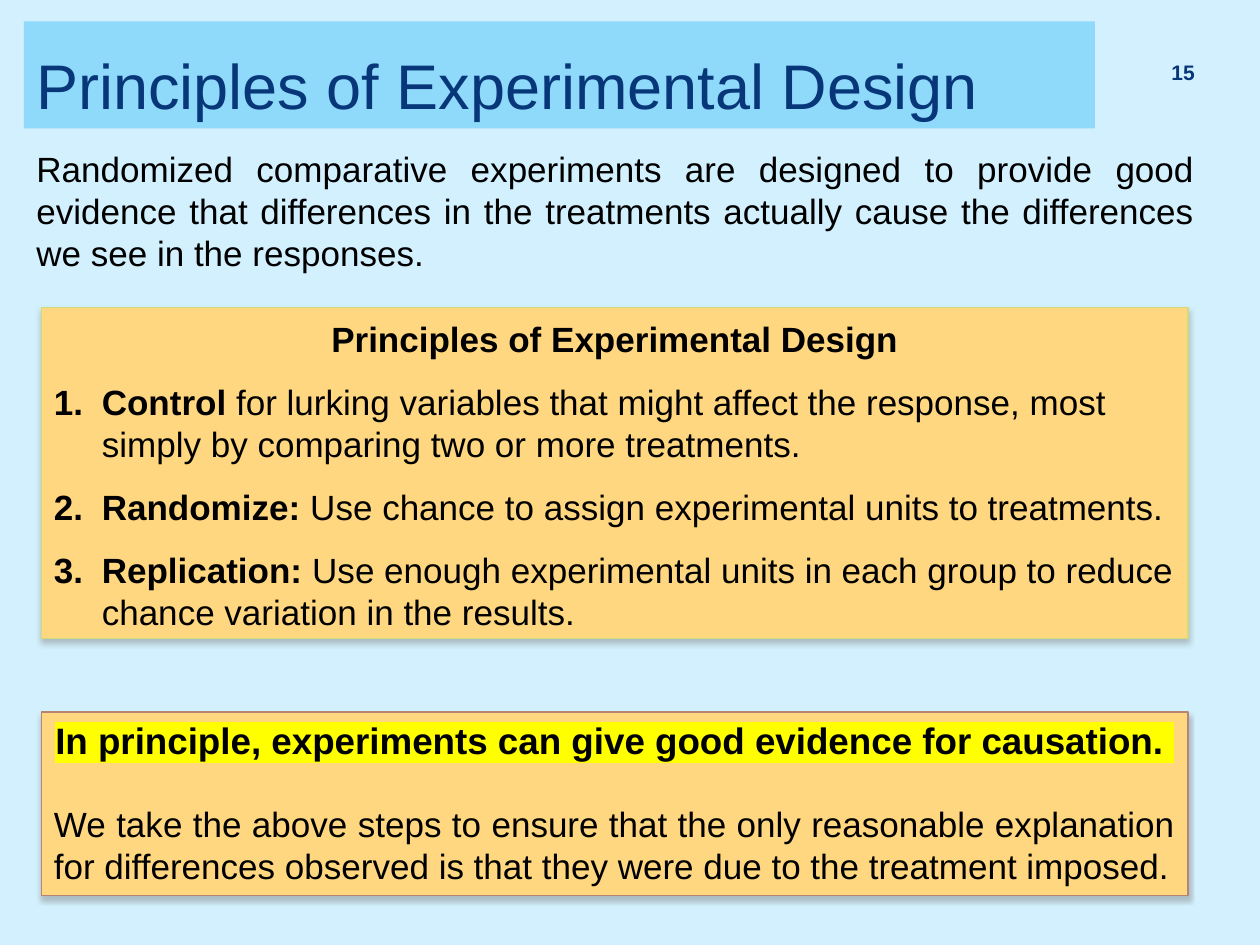
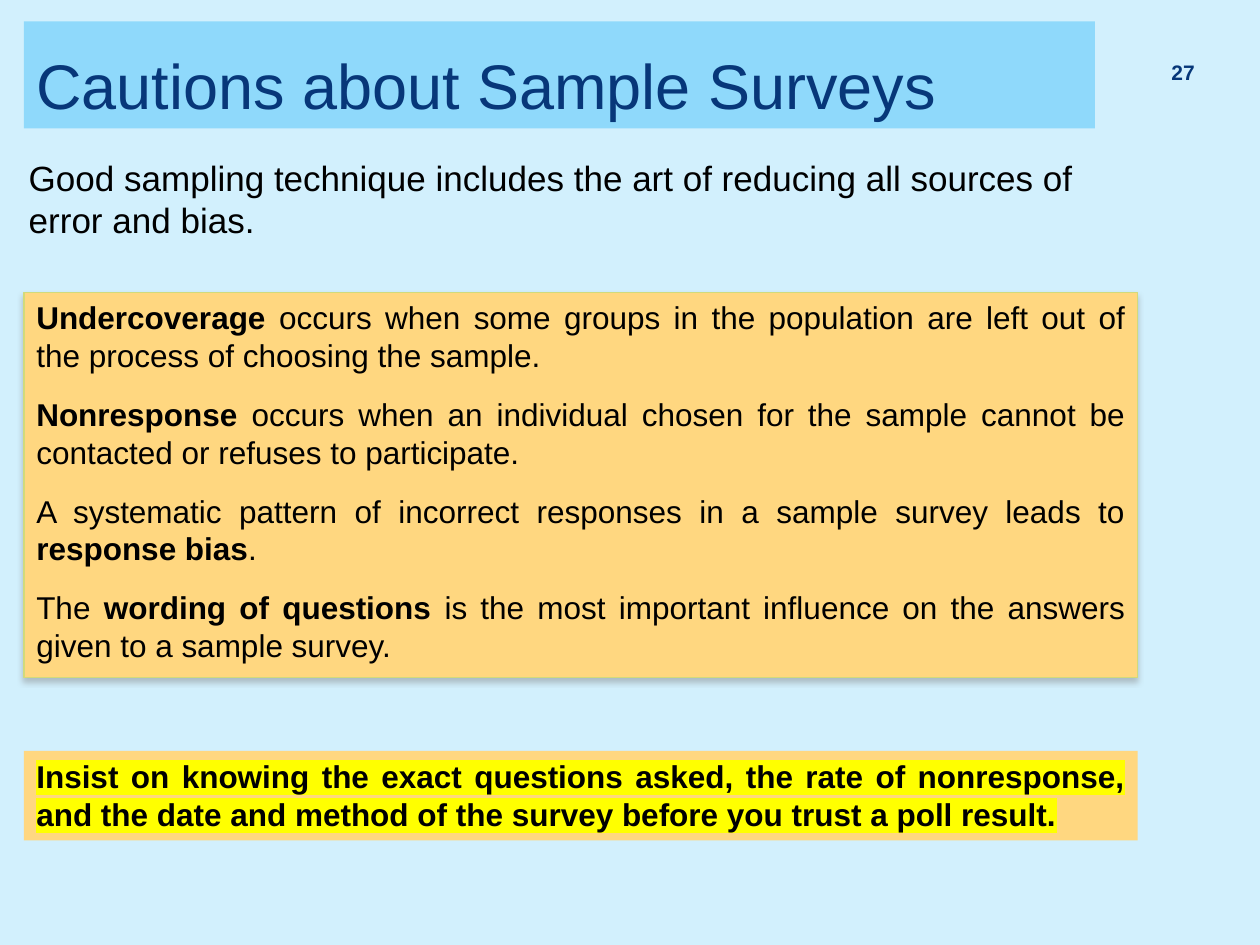
from lxml import etree
from pptx import Presentation
from pptx.dml.color import RGBColor
from pptx.enum.shapes import MSO_SHAPE
from pptx.enum.text import MSO_ANCHOR, PP_ALIGN
from pptx.oxml.ns import qn
from pptx.util import Pt

PX = 9144  # 100 px to the inch
RECTANGLE = MSO_SHAPE.RECTANGLE
TOP, MIDDLE, BOTTOM = MSO_ANCHOR.TOP, MSO_ANCHOR.MIDDLE, MSO_ANCHOR.BOTTOM
LEFT, CENTER, RIGHT, JUSTIFY = PP_ALIGN.LEFT, PP_ALIGN.CENTER, PP_ALIGN.RIGHT, PP_ALIGN.JUSTIFY
FONT = "Arial"
COLORS = {
    "background": "D2F0FD",
    "band": "8FD9FB",
    "navy": "073779",
    "black": "000000",
    "panel": "FFD780",
    "olive": "D2DA7A",
    "brown": "B88472",
    "shadow": "808080",
    "highlight": "FFFF00",
}


def add_box(slide, bounds, fill=None, outline=None, anchor=TOP):
    """Add a text box, or a rectangle if filled; an outlined one also casts a shadow."""
    bounds = [length * PX for length in bounds]
    if fill is None:
        shape = slide.shapes.add_textbox(*bounds)
    else:
        shape = slide.shapes.add_shape(RECTANGLE, *bounds)
        shape.shadow.inherit = False
        shape.fill.solid()
        shape.fill.fore_color.rgb = RGBColor.from_string(COLORS[fill])
        if outline is None:
            shape.line.fill.background()
        else:
            shape.line.color.rgb = RGBColor.from_string(COLORS[outline])
            shape.line.width = Pt(0.8)
            effects = shape._element.spPr.find(qn("a:effectLst"))
            shadow = etree.SubElement(effects, qn("a:outerShdw"), blurRad="38100",
                                      dist="30480", dir="5400000", rotWithShape="0")
            color = etree.SubElement(shadow, qn("a:srgbClr"), val=COLORS["shadow"])
            etree.SubElement(color, qn("a:alpha"), val="45000")
    shape.text_frame.word_wrap = True
    shape.text_frame.vertical_anchor = anchor
    return shape.text_frame


def write(frame, text, size=20, align=LEFT, color="black", after=0,
          numbered=False, highlighted=False):
    """Write one paragraph, filling the empty first one; text between asterisks is bold."""
    paragraph = frame.paragraphs[0]
    if paragraph.runs:
        paragraph = frame.add_paragraph()
    if numbered:
        properties = paragraph._p.get_or_add_pPr()
        properties.set("marL", str(38 * PX))
        properties.set("indent", str(-38 * PX))
        etree.SubElement(properties, qn("a:buFont"), typeface=FONT)
        etree.SubElement(properties, qn("a:buAutoNum"), type="arabicPeriod")
    paragraph.alignment = align
    paragraph.space_after = Pt(after)
    paragraph.font.name = FONT
    paragraph.font.size = Pt(size)
    paragraph.font.color.rgb = RGBColor.from_string(COLORS[color])
    for index, part in enumerate(text.split("*")):
        if part:
            run = paragraph.add_run()
            run.text = part
            run.font.bold = index % 2 == 1
            if highlighted:
                mark = etree.SubElement(run._r.get_or_add_rPr(), qn("a:highlight"))
                etree.SubElement(mark, qn("a:srgbClr"), val=COLORS["highlight"])
    return paragraph


presentation = Presentation()
presentation.slide_width = 1000 * PX
presentation.slide_height = 750 * PX

# Background, title band and slide number
slides = []
for title, number in [("Principles of Experimental Design", 15),
                      ("Cautions about Sample Surveys", 27)]:
    slide = presentation.slides.add_slide(presentation.slide_layouts[6])
    slide.background.fill.solid()
    slide.background.fill.fore_color.rgb = RGBColor.from_string(COLORS["background"])
    title_band = add_box(slide, (19, 17, 850, 85), "band", anchor=BOTTOM)
    write(title_band, title, 36, color="navy")
    number_box = add_box(slide, (903, 39, 55, 40), anchor=MIDDLE)
    write(number_box, f"*{number}*", 12, RIGHT, "navy").line_spacing = 0.8
    slides.append(slide)
principles_slide, cautions_slide = slides

# Principles of Experimental Design
introduction = add_box(principles_slide, (19, 112, 939, 111))
write(introduction, "Randomized comparative experiments are designed to provide good evidence "
      "that differences in the treatments actually cause the differences we see in the "
      "responses.", align=JUSTIFY)

principles = add_box(principles_slide, (33, 244, 910, 263), "panel", "olive", BOTTOM)
write(principles, "*Principles of Experimental Design*", align=CENTER, after=12)
for principle, after in [
    ("*Control *for lurking variables that might affect the response, most simply by "
     "comparing two or more treatments.", 12),
    ("*Randomize:* Use chance to assign experimental units to treatments.", 12),
    ("*Replication:* Use enough experimental units in each group to reduce chance "
     "variation in the results.", 0),
]:
    write(principles, principle, after=after, numbered=True)

causation = add_box(principles_slide, (33, 565, 910, 146), "panel", "brown")
write(causation, "*In principle, experiments can give good evidence for causation. *",
      21, CENTER, after=23, highlighted=True)
write(causation, "We take the above steps to ensure that the only reasonable explanation "
      "for differences observed is that they were due to the treatment imposed.",
      align=JUSTIFY)

# Cautions about Sample Surveys
introduction = add_box(cautions_slide, (13, 119, 890, 77))
write(introduction, "Good sampling technique includes the art of reducing all sources of "
      "error and bias.")

cautions = add_box(cautions_slide, (19, 232, 884, 306), "panel", "olive")
for caution in [
    "*Undercoverage *occurs when some groups in the population are left out of the process "
    "of choosing the sample.",
    "*Nonresponse *occurs when an individual chosen for the sample cannot be contacted or "
    "refuses to participate.",
    "A systematic pattern of incorrect responses in a sample survey leads to "
    "*response bias*.",
    "The *wording of questions* is the most important influence on the answers given to a "
    "sample survey.",
]:
    write(cautions, caution, 18, JUSTIFY, after=12)

advice = add_box(cautions_slide, (19, 596, 884, 71), "panel")
write(advice, "*Insist on knowing the exact questions asked, the rate of nonresponse, and the "
      "date and method of the survey before you trust a poll result.*",
      18, JUSTIFY, highlighted=True)

presentation.save("out.pptx")
